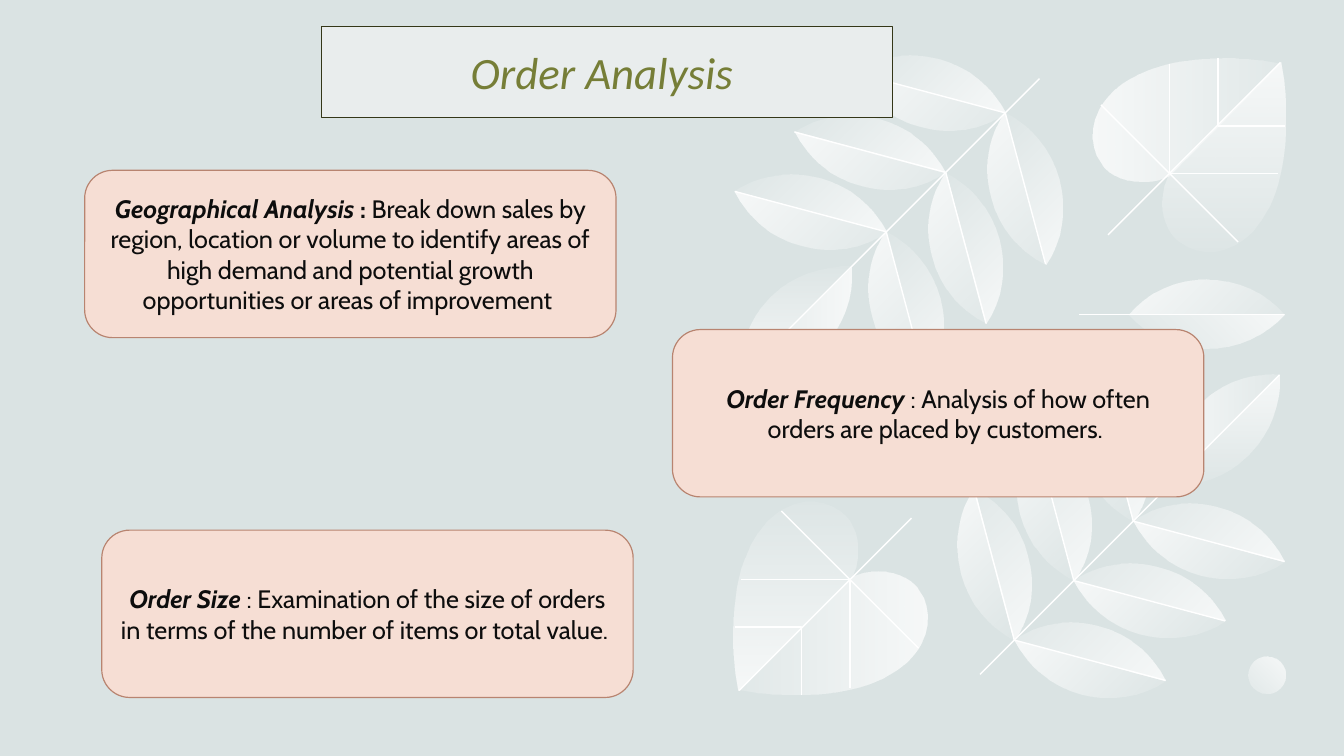
from lxml import etree
from pptx import Presentation
from pptx import util as u
from pptx.dml.color import RGBColor
from pptx.enum import shapes, text
from pptx.oxml.ns import qn

COLORS = {
    "background": "DAE3E3", "leaf": "FFFFFF", "ink": "0D0D0D",
    "card": "F6DED4", "card edge": "B88470",
    "banner": "E9EDED", "banner edge": "343718", "title": "767E37",
}

# Outlines: a start point, then steps of one point (line) or three (curve)
FRONT_HALF = [(0, 0), (-.13, -.25, -.36, -.45, -.66, -.53),
              (-.96, -.61, -1.26, -.56, -1.5, -.4)]
BACK_HALF = [(-1.5, -.4), (-1.37, -.15, -1.14, .06, -.84, .13),
             (-.54, .22, -.24, .16, 0, 0)]
TIP_LEAF = [
    ([(8.44, 2.65), (8.16, 2.64, 7.86, 2.74, 7.65, 2.95),
      (7.43, 3.17, 7.33, 3.47, 7.34, 3.75)], 10, 270),
    ([(8.44, 2.65), (8.46, 2.94, 8.36, 3.23, 8.14, 3.45),
      (7.92, 3.67, 7.63, 3.77, 7.34, 3.75)], 20, 180),
]
HEART = [
    ([(12.7, .63), (11.59, 1.74), (11.48, 1.78),
      (11.25, 1.83, 11.07, 1.77, 10.96, 1.66),
      (10.95, 1.65, 10.93, 1.63, 10.92, 1.61),
      (10.64, 1.24, 10.98, .44, 12.52, .6)], 20, 0),
    ([(12.7, .62), (12.73, .8), (12.89, 2.34, 12.09, 2.69, 11.71, 2.4),
      (11.57, 2.3, 11.49, 2.1, 11.55, 1.84), (11.59, 1.74)], 10, 90),
]
SIDE_LEAF = [
    ([(11.19, 3.12), (11.38, 2.9, 11.66, 2.77, 11.96, 2.77),
      (12.27, 2.77, 12.55, 2.9, 12.74, 3.12)], 20, 45),
    ([(11.19, 3.12), (11.38, 3.33, 11.66, 3.46, 11.96, 3.46),
      (12.27, 3.46, 12.55, 3.33, 12.74, 3.12)], 10, 135),
]
STRAIGHT_VEINS = [[(12.7, .62), (10.99, 2.33)], [(10.92, 1.04), (12.28, 2.4)],
                  [(10.31, .78), (7.34, 3.75)]]
HEART_ANGLES = [[(12.68, 1.72), (11.6, 1.72), (11.6, .64)],
                [(12.74, 1.25), (12.08, 1.25), (12.08, .58)]]
NODES = [(8.79 + .59 * step, 2.3 - .59 * step) for step in range(3)]


def map_outline(outline, change):
    """Apply a point function to every point of an outline."""
    return [sum((change(*step[i:i + 2]) for i in range(0, len(step), 2)), ())
            for step in outline]


def half_turn(x, y):
    return 20.03 - x, 7.47 - y


def keep(x, y):
    return x, y


class Designer:
    def __init__(self, page):
        self.page = page
        self.colors = {name: RGBColor.from_string(value)
                       for name, value in COLORS.items()}
        fill = page.background.fill
        fill.solid()
        fill.fore_color.rgb = self.colors["background"]

    def fade(self, shape, end, angle):
        """Fill with white that fades from 80 % to the end opacity."""
        shape.shadow.inherit = False
        shape.line.fill.background()
        shape.fill.gradient()
        shape.fill.gradient_angle = -angle % 360
        for stop, position in zip(shape.fill.gradient_stops, (0, 1)):
            stop.position = position
            stop.color.rgb = self.colors["leaf"]
        colors = list(shape._element.spPr.iter(qn("a:srgbClr")))
        for color, opacity in zip(colors, (80, end)):
            etree.SubElement(color, qn("a:alpha"), val=str(opacity * 1000))

    def freeform(self, contours, close):
        contours = [[(u.Inches(x), u.Inches(y)) for x, y in points]
                    for points in contours]
        builder = self.page.shapes.build_freeform(*contours[0][0])
        for index, points in enumerate(contours):
            if index:
                builder.move_to(*points[0])
            builder.add_line_segments(points[1:], close=close)
        return builder.convert_to_shape()

    def leaf(self, outline, end, angle):
        shape = self.freeform([[step[-2:] for step in outline]], True)
        segments = list(shape._element.spPr.iter(qn("a:lnTo")))
        for segment, step in zip(segments, outline[1:]):
            if len(step) == 6:
                curve = etree.Element(qn("a:cubicBezTo"))
                for x, y in zip(step[::2], step[1::2]):
                    etree.SubElement(curve, qn("a:pt"),
                                     x=str(u.Inches(x) - shape.left),
                                     y=str(u.Inches(y) - shape.top))
                segment.getparent().replace(segment, curve)
        self.fade(shape, end, angle)

    def disc(self, left, top, size, angle):
        shape = self.page.shapes.add_shape(
            shapes.MSO_SHAPE.OVAL, *map(u.Inches, (left, top, size, size)))
        self.fade(shape, 20, angle)

    def ink_vein(self, vein):
        vein.line.color.rgb = self.colors["leaf"]
        vein.line.width = u.Pt(1)

    def vein(self, start, end):
        line = self.page.shapes.add_connector(
            shapes.MSO_CONNECTOR.STRAIGHT, *map(u.Inches, start + end))
        self.ink_vein(line)
        etree.SubElement(line._element.spPr, qn("a:effectLst"))

    def bent_veins(self, contours):
        shape = self.freeform(contours, False)
        shape.shadow.inherit = False
        shape.fill.background()
        self.ink_vein(shape)

    def panel(self, kind, place, style, spans, ink, formats):
        box = self.page.shapes.add_shape(kind, *map(u.Inches, place))
        box.shadow.inherit = False
        box.fill.solid()
        box.fill.fore_color.rgb = self.colors[style]
        box.line.color.rgb = self.colors[style + " edge"]
        box.line.width = u.Pt(.85)
        frame = box.text_frame
        frame.word_wrap = True
        frame.vertical_anchor = text.MSO_ANCHOR.MIDDLE
        para = frame.paragraphs[0]
        para.alignment = text.PP_ALIGN.CENTER
        for words, bold, italic in spans:
            span = para.add_run()
            span.text = words
            span.font.color.rgb = self.colors[ink]
            for name, value in {**formats, "bold": bold, "italic": italic}.items():
                setattr(span.font, name, value)


def draw_foliage(designer):
    # Branch and heart leaf, drawn once upright and once turned by 180 degrees
    for place, turn in ((half_turn, 180), (keep, 0)):
        leaves, bends = TIP_LEAF + HEART, list(HEART_ANGLES)
        for x, y in NODES:
            for grow in (lambda a, b: (x - b, y - a), lambda a, b: (x + a, y + b)):
                leaves = leaves + [(map_outline(FRONT_HALF, grow), 10, 225),
                                   (map_outline(BACK_HALF, grow), 20, 45)]
            bends.append([(x + .4, y + 1.5), (x, y), (x - 1.5, y - .4)])
        for outline, end, angle in leaves:
            designer.leaf(map_outline(outline, place), end, (angle + turn) % 360)
        for points in STRAIGHT_VEINS:
            designer.vein(*map_outline(points, place))
        designer.bent_veins([map_outline(points, place) for points in bends])

    # Single leaf and disc
    for half in SIDE_LEAF:
        designer.leaf(*half)
    designer.vein((10.7, 3.12), (12.74, 3.12))
    designer.disc(12.38, 6.51, .37, 135)


def main():
    deck = Presentation()
    deck.slide_width, deck.slide_height = u.Inches(13.33), u.Inches(7.5)
    designer = Designer(deck.slides.add_slide(deck.slide_layouts[6]))
    draw_foliage(designer)

    # Cards
    cards = [
        (.84, 1.69, [("Geographical Analysis ", True, True), (":", True, False),
                     (" Break down sales by region, location or volume to identify areas "
                      "of high demand and potential growth opportunities or areas of "
                      "improvement ", False, False)]),
        (6.67, 3.27, [("Order Frequency ", True, True),
                      (": Analysis of how often orders are placed by customers. ",
                       False, False)]),
        (1.01, 5.26, [("Order Size ", True, True),
                      (": Examination of the size of orders in terms of the number of "
                       "items or total value. ", False, False)]),
    ]
    for left, top, spans in cards:
        designer.panel(shapes.MSO_SHAPE.ROUNDED_RECTANGLE, (left, top, 5.27, 1.66),
                       "card", spans, "ink", {"name": "Cabin", "size": u.Pt(18)})

    # Title
    designer.panel(shapes.MSO_SHAPE.RECTANGLE, (3.19, .26, 5.66, .91), "banner",
                   [("Order Analysis ", False, True)], "title",
                   {"name": "Calibri", "size": u.Pt(32)})
    deck.save("out.pptx")


if __name__ == "__main__":
    main()
